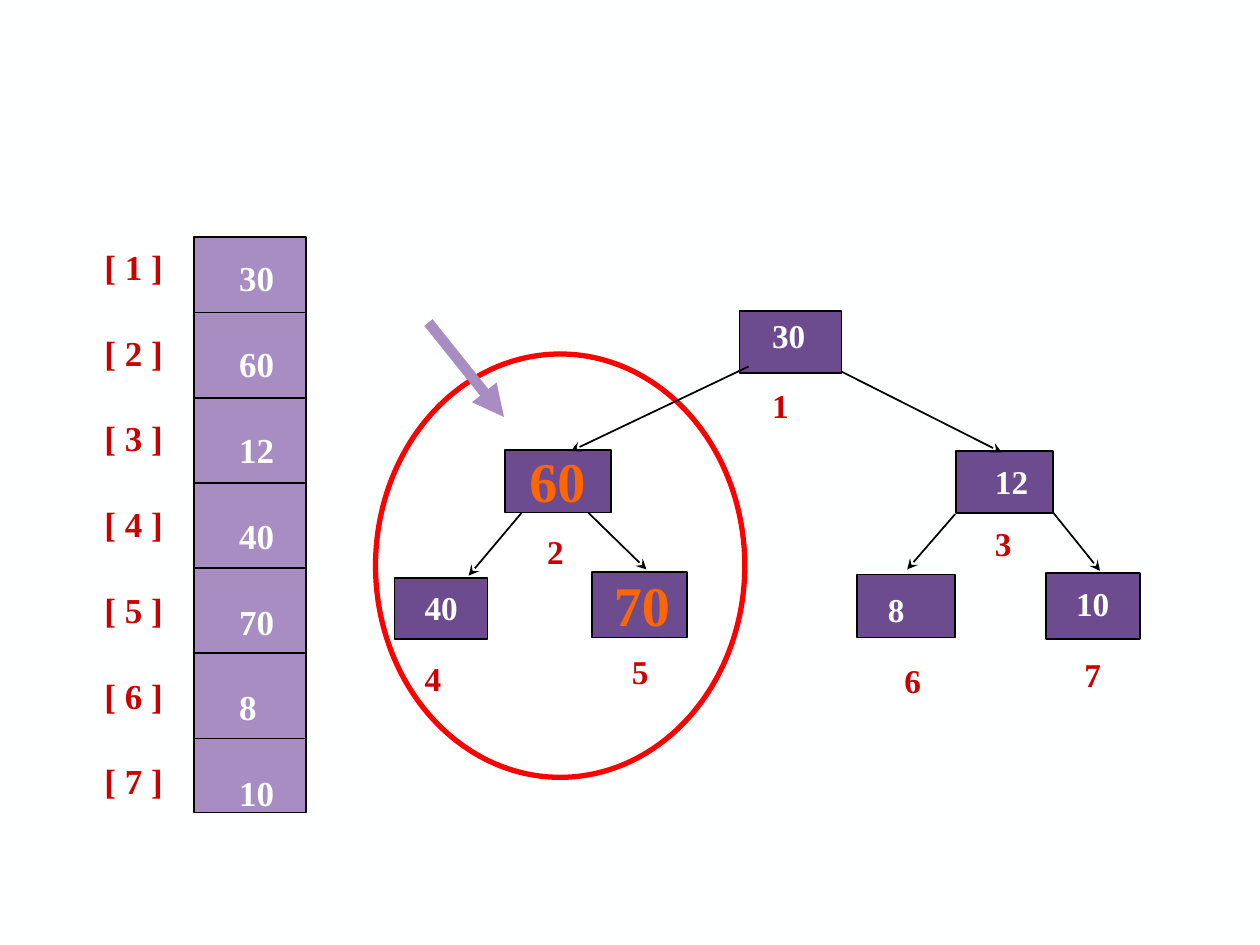
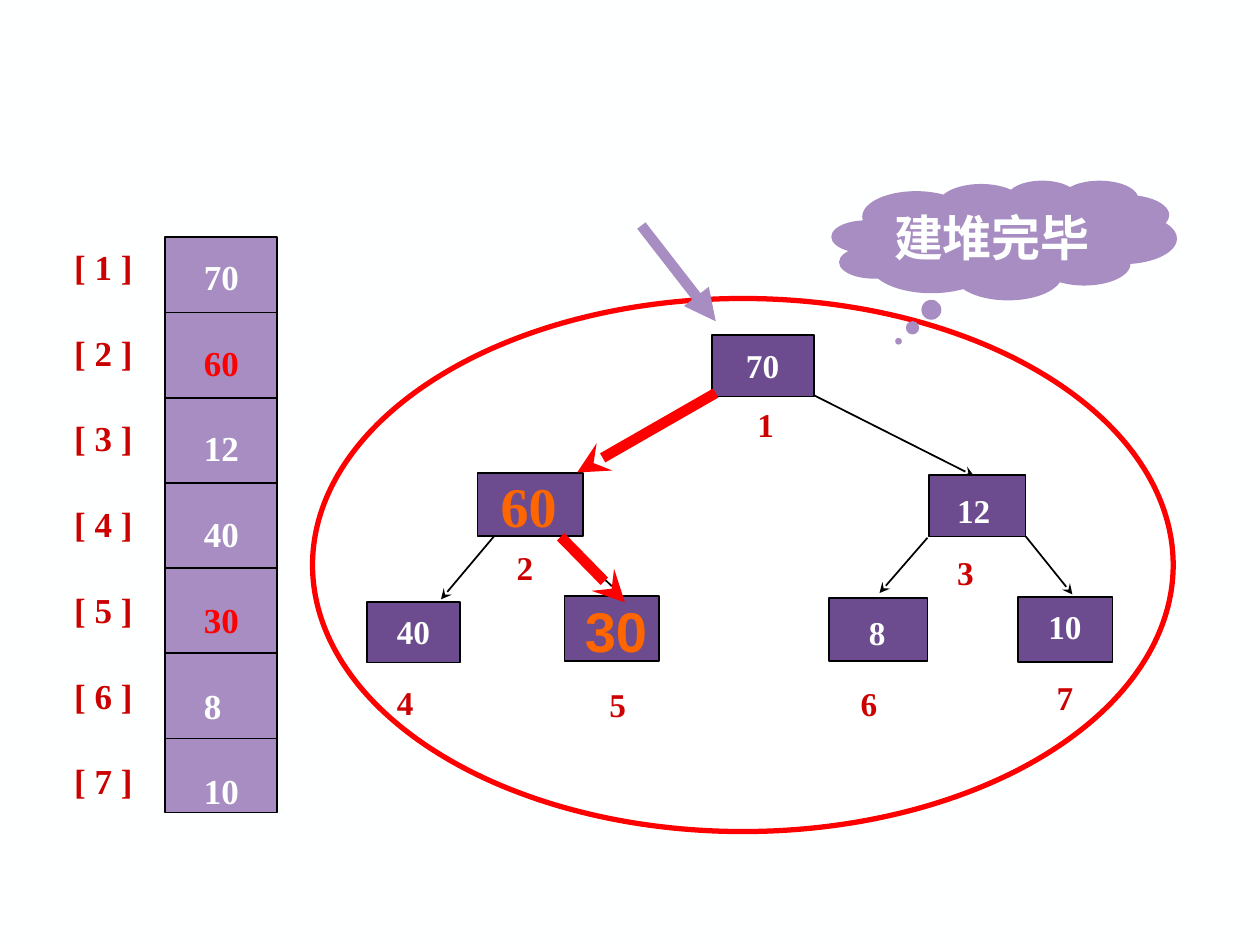
import pptx
import pptx.dml.color
import pptx.enum.shapes
import pptx.enum.text
import pptx.oxml
import pptx.oxml.ns
import pptx.util

Pt = pptx.util.Pt
RGB = pptx.dml.color.RGBColor
SHAPE = pptx.enum.shapes.MSO_SHAPE
PAPER = RGB(0xFE, 0xFF, 0xFF)
WHITE = RGB(0xFF, 0xFF, 0xFF)
BLACK = RGB(0x00, 0x00, 0x00)
RED = RGB(0xFF, 0x00, 0x00)
INDEX_RED = RGB(0xCC, 0x00, 0x00)
ORANGE = RGB(0xFF, 0x66, 0x00)
PURPLE = RGB(0x6C, 0x4C, 0x8F)
LILAC = RGB(0xA7, 0x8D, 0xC2)
SERIF = "Times New Roman"

NODES = [
    (422.6, 177.8, 58.3, 35.3),
    (288.7, 257, 60.5, 36),
    (546.5, 257.8, 55.4, 35.3),
    (225.4, 330.5, 53.3, 34.6),
    (338.4, 326.9, 54, 37.4),
    (489.6, 328.3, 56.2, 36),
    (597.6, 327.6, 54, 37.4),
]
LEFT_EDGE = (427.7, 209.5, 326.2, 257.8)
EDGES = [
    (481, 212.4, 572.4, 258.5),
    (298.1, 293, 267.8, 329),
    (336.2, 293, 369.4, 325.4),
    (545.8, 293.8, 518.4, 325.4),
    (601.9, 293, 628.6, 326.2),
]

STEPS = [
    {
        "oval": (214.6, 202.3, 211, 241.9),
        "array_left": 110.9,
        "index_left": 52.6,
        "values_at": (129.6, 143.3),
        "values": ["30", "60", "12", "40", "70", "8", "10"],
        "changed": [],
        "tree_shift": (0, 0),
        "edges": [LEFT_EDGE] + EDGES,
        "labels": [
            (430.6, 177.1, [("30", PAPER, 4.75, 0), ("1", INDEX_RED, 4.75, 17.5)]),
            (297.4, 300.6, [("2", INDEX_RED, 9.5, 0)]),
            (236.9, 332.6, [("40", PAPER, 0, 0), ("4", INDEX_RED, 0, 18)]),
            (350.6, 369, [("5", INDEX_RED, 4.75, 0)]),
            (558, 260.6, [("12", PAPER, 4.75, 0), ("3", INDEX_RED, 4.75, 13)]),
            (496.8, 334.1, [("8", PAPER, 4.75, 0), ("6", INDEX_RED, 14.25, 17.5)]),
            (609.1, 330.5, [("10", PAPER, 0, 0), ("7", INDEX_RED, 4.75, 17.5)]),
        ],
        "swap_arrows": [],
        "swapped": [(288.7, 252, "60", SERIF), (337, 323.3, "70", SERIF)],
        "pointer": (244.8, 184.3, 288, 238.3),
    },
    {
        "oval": (178.6, 170.6, 491.8, 304.6),
        "array_left": 94.3,
        "index_left": 35.3,
        "values_at": (109.4, 142.3),
        "values": ["70", "60", "12", "40", "30", "8", "10"],
        "changed": [1, 4],
        "tree_shift": (-15.8, 13.5),
        "edges": EDGES,
        "labels": [
            (420.5, 194.4, [("70", PAPER, 0, 0)]),
            (427, 228.2, [("1", INDEX_RED, 0, 0)]),
            (289.4, 309.6, [("2", INDEX_RED, 0, 0)]),
            (221, 346.3, [("40", PAPER, 0, 0), ("4", INDEX_RED, 0, 18)]),
            (337.7, 388.1, [("5", INDEX_RED, 4.75, 0)]),
            (536.4, 277.2, [("12", PAPER, 4.75, 0), ("3", INDEX_RED, 4.75, 13)]),
            (486, 347, [("8", PAPER, 4.75, 0), ("6", INDEX_RED, 0, 18)]),
            (593.3, 343.4, [("10", PAPER, 0, 0), ("7", INDEX_RED, 4.75, 18)]),
        ],
        "swap_arrows": [(409, 224.6, 329.8, 270), (320.4, 306.7, 357.1, 344.2)],
        "swapped": [(272.2, 266.4, "60", SERIF), (320.4, 337.7, "30", "Arial")],
        "pointer": (366.5, 128.9, 409, 183.6),
    },
]


def write(slide, box, inset, lines, size, font=SERIF):
    frame = slide.shapes.add_textbox(*map(Pt, box)).text_frame
    frame.word_wrap = True
    frame.margin_left = frame.margin_right = Pt(2 * inset)
    frame.margin_top = frame.margin_bottom = Pt(inset)
    for row, (words, color, indent, gap) in enumerate(lines):
        paragraph = frame.add_paragraph() if row else frame.paragraphs[0]
        paragraph._p.get_or_add_pPr().set("marL", str(int(Pt(indent))))
        if gap:
            paragraph.space_before = Pt(gap)
        run = paragraph.add_run()
        run.text = words
        run.font.name = font
        run.font.size = Pt(size)
        run.font.bold = True
        run.font.color.rgb = color


def draw_line(slide, ends, color, weight, arrow=None):
    straight = pptx.enum.shapes.MSO_CONNECTOR.STRAIGHT
    line = slide.shapes.add_connector(straight, *map(Pt, ends))
    line.line.color.rgb = color
    line.line.width = Pt(weight)
    if arrow:
        tip = pptx.oxml.parse_xml(
            f'<a:tailEnd {pptx.oxml.ns.nsdecls("a")} type="{arrow}"/>')
        line.line._get_or_add_ln().append(tip)
    line._element.spPr.append(
        pptx.oxml.parse_xml(f'<a:effectLst {pptx.oxml.ns.nsdecls("a")}/>'))


deck = pptx.Presentation()
deck.slide_width = Pt(720)
deck.slide_height = Pt(540)
background = deck.slide_master.background.fill
background.solid()
background.fore_color.rgb = PAPER

for step in STEPS:
    slide = deck.slides.add_slide(deck.slide_layouts[6])
    shift_x, shift_y = step["tree_shift"]
    array_left = step["array_left"]

    blocks = [
        (SHAPE.OVAL, step["oval"], WHITE, RED, 3),
        (SHAPE.RECTANGLE, (array_left, 135.4, 64.1, 329), LILAC, BLACK, 1),
    ]
    for x, y, width, height in NODES:
        node = (x + shift_x, y + shift_y, width, height)
        blocks.append((SHAPE.RECTANGLE, node, PURPLE, BLACK, 1))
    for preset, box, fill, outline, weight in blocks:
        block = slide.shapes.add_shape(preset, *map(Pt, box))
        block.shadow.inherit = False
        block.fill.solid()
        block.fill.fore_color.rgb = fill
        block.line.color.rgb = outline
        block.line.width = Pt(weight)

    for row in range(6):
        y = 178.6 + 48.67 * row
        draw_line(slide, (array_left - 0.7, y, array_left + 64.8, y), BLACK, 1)

    indexes, values = [], []
    for row, value in enumerate(step["values"]):
        gap = 25 if row else 0
        color = RED if row in step["changed"] else PAPER
        indexes.append((f"[ {row + 1} ]", INDEX_RED, 0, gap))
        values.append((value, color, 0, gap))
    write(slide, (step["index_left"], 136.6, 60, 323), 3.6, indexes, 20)
    write(slide, (*step["values_at"], 42, 323), 3.6, values, 20)

    for ends in step["edges"]:
        x1, y1, x2, y2 = ends
        moved = (x1 + shift_x, y1 + shift_y, x2 + shift_x, y2 + shift_y)
        draw_line(slide, moved, BLACK, 1, "stealth")
    for x, y, lines in step["labels"]:
        write(slide, (x, y, 42, 28 if len(lines) == 1 else 69), 2.9, lines, 19)
    for ends in step["swap_arrows"]:
        draw_line(slide, ends, RED, 6, "stealth")
    for x, y, value, font in step["swapped"]:
        write(slide, (x, y, 74, 44.6), 2.9, [(value, ORANGE, 8, 0)], 32, font)
    draw_line(slide, step["pointer"], LILAC, 6, "triangle")

cloud = slide.shapes.add_shape(
    SHAPE.CLOUD_CALLOUT, Pt(475.2), Pt(103), Pt(197.3), Pt(68.4))
cloud.adjustments[0] = -0.306
cloud.adjustments[1] = 0.845
cloud.shadow.inherit = False
cloud.fill.solid()
cloud.fill.fore_color.rgb = LILAC
cloud.line.fill.background()
cloud.text_frame.word_wrap = False
cloud.text_frame.vertical_anchor = pptx.enum.text.MSO_ANCHOR.MIDDLE
message = cloud.text_frame.paragraphs[0]
message.alignment = pptx.enum.text.PP_ALIGN.CENTER
notice = message.add_run()
notice.text = "建堆完毕"
notice.font.name = SERIF
notice.font.size = Pt(28)
notice.font.bold = True
notice.font.color.rgb = PAPER

deck.save("out.pptx")
